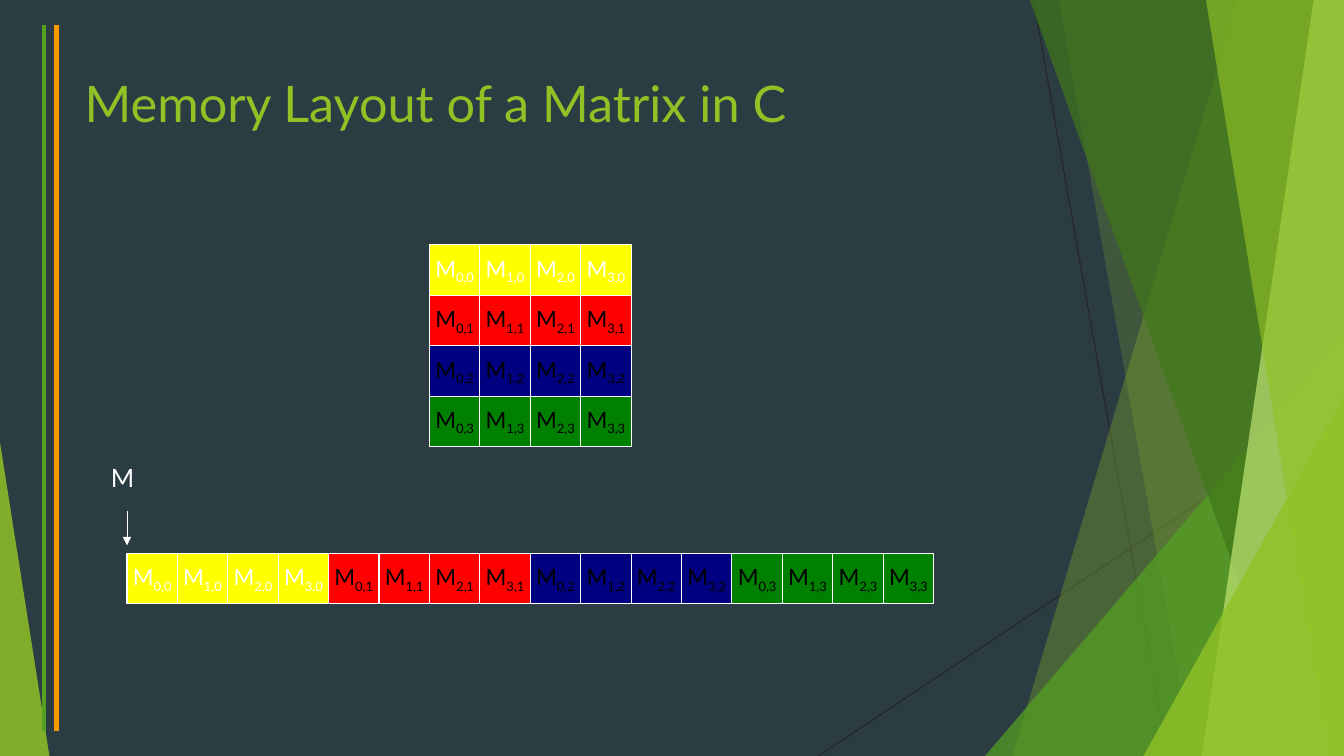
from lxml import etree
from pptx import Presentation
from pptx import util as u
from pptx.dml.color import RGBColor
from pptx.enum import shapes, text
from pptx.oxml import ns

PX = 9144
SLIDE_WIDTH, SLIDE_HEIGHT = 1333, 750
CELL = 50
FONT = "Lato"

SLATE = RGBColor(0x2C, 0x3C, 0x43)
CHARCOAL = RGBColor(0x26, 0x26, 0x26)
LIME = RGBColor(0x90, 0xC2, 0x26)
LEAF = RGBColor(0x54, 0xA0, 0x21)
FOREST = RGBColor(0x3F, 0x78, 0x19)
PALE_LIME = RGBColor(0xC0, 0xE4, 0x74)
ORANGE = RGBColor(0xFF, 0x99, 0x00)
WHITE = RGBColor(0xFF, 0xFF, 0xFF)
BLACK = RGBColor(0x00, 0x00, 0x00)
YELLOW = RGBColor(0xFF, 0xFF, 0x00)
RED = RGBColor(0xFF, 0x00, 0x00)
NAVY = RGBColor(0x00, 0x00, 0x80)
GREEN = RGBColor(0x00, 0x80, 0x00)

ROW_COLOURS = [(YELLOW, WHITE), (RED, BLACK), (NAVY, BLACK), (GREEN, BLACK)]
COLUMNS = 4


def px(*lengths):
    return [u.Emu(length * PX) for length in lengths]


def write(paragraph, content, size, colour, subscript=False):
    run = paragraph.add_run()
    run.text = content
    run.font.name = FONT
    run.font.size = u.Pt(size)
    run.font.color.rgb = colour
    if subscript:
        run.font._element.set("baseline", "-25000")


def add_line(parts, start, end, colour, weight=0.75, arrow=False):
    line = parts.add_connector(shapes.MSO_CONNECTOR.STRAIGHT, *px(*start, *end))
    line.line.color.rgb = colour
    line.line.width = u.Pt(weight)
    if arrow:
        etree.SubElement(line.line._get_or_add_ln(), ns.qn("a:tailEnd"), type="triangle")
    etree.SubElement(line._element.spPr, ns.qn("a:effectLst"))


def paint_facet(shape, colour, opacity):
    shape.shadow.inherit = False
    shape.line.fill.background()
    shape.fill.solid()
    shape.fill.fore_color.rgb = colour
    colour_element = shape._element.spPr.find(ns.qn("a:solidFill"))[0]
    etree.SubElement(colour_element, ns.qn("a:alpha"), val=str(opacity * 1000))


def add_panel(parts, top_left, bottom_left, colour, opacity):
    builder = parts.build_freeform(top_left, -1, scale=PX)
    builder.add_line_segments(
        [(SLIDE_WIDTH, -1), (SLIDE_WIDTH, SLIDE_HEIGHT), (bottom_left, SLIDE_HEIGHT)]
    )
    paint_facet(builder.convert_to_shape(), colour, opacity)


def add_corner(parts, left, top, width, apex, colour, opacity):
    corner = parts.add_shape(
        shapes.MSO_SHAPE.ISOSCELES_TRIANGLE, *px(left, top, width, SLIDE_HEIGHT - top)
    )
    corner.adjustments[0] = apex
    paint_facet(corner, colour, opacity)


def add_facets(slide):
    parts = slide.shapes.add_group_shape().shapes
    add_line(parts, (1025, 0), (1158, SLIDE_HEIGHT), CHARCOAL)
    add_line(parts, (SLIDE_WIDTH, 403), (812, SLIDE_HEIGHT), CHARCOAL)
    add_panel(parts, 1228, 1004, LIME, 30)
    add_panel(parts, 1050, 1183, LIME, 20)
    add_corner(parts, 977, 333, 356, 1, LEAF, 72)
    add_panel(parts, 1021, 1291, FOREST, 70)
    add_panel(parts, 1303, 1192, PALE_LIME, 70)
    add_panel(parts, 1196, 1318, LIME, 65)
    add_corner(parts, 1134, 393, 199, 1, LIME, 80)
    add_corner(parts, 0, 439, 49, 0, LIME, 85)


def add_side_rules(slide, left, top, height):
    for offset, colour in ((0, LEAF), (12, ORANGE)):
        x = left + offset
        add_line(slide.shapes, (x, top), (x, top + height), colour, weight=3)


def add_title(slide, content, left, top, width, height):
    title = slide.shapes.title
    title.left, title.top, title.width, title.height = px(left, top, width, height)
    frame = title.text_frame
    frame.word_wrap = True
    frame.vertical_anchor = text.MSO_ANCHOR.TOP
    paragraph = frame.paragraphs[0]
    paragraph.alignment = text.PP_ALIGN.LEFT
    write(paragraph, content, 36, LIME)


def add_cell(parts, column, row, left, top):
    fill_colour, text_colour = ROW_COLOURS[row]
    cell = parts.add_shape(shapes.MSO_SHAPE.RECTANGLE, *px(left, top, CELL, CELL))
    cell.shadow.inherit = False
    cell.fill.solid()
    cell.fill.fore_color.rgb = fill_colour
    cell.line.color.rgb = WHITE
    cell.line.width = u.Pt(0.75)
    frame = cell.text_frame
    frame.word_wrap = False
    frame.vertical_anchor = text.MSO_ANCHOR.MIDDLE
    paragraph = frame.paragraphs[0]
    paragraph.alignment = text.PP_ALIGN.CENTER
    write(paragraph, "M", 16, text_colour)
    write(paragraph, f"{column},{row}", 16, text_colour, subscript=True)


def add_matrix(slide, left, top):
    parts = slide.shapes.add_group_shape().shapes
    for row in range(len(ROW_COLOURS)):
        for column in range(COLUMNS):
            add_cell(parts, column, row, left + column * CELL, top + row * CELL)


def add_memory_strip(slide, left, top):
    parts = slide.shapes.add_group_shape().shapes
    for index in range(len(ROW_COLOURS) * COLUMNS):
        row, column = divmod(index, COLUMNS)
        add_cell(parts, column, row, left + index * CELL, top)
    add_line(parts, (left, top - 42), (left, top - 8), WHITE, arrow=True)
    label = parts.add_textbox(*px(left - 26, top - 95, 38, 40))
    label.text_frame.word_wrap = False
    write(label.text_frame.paragraphs[0], "M", 18, WHITE)


def main():
    presentation = Presentation()
    presentation.slide_width, presentation.slide_height = px(SLIDE_WIDTH, SLIDE_HEIGHT)
    slide = presentation.slides.add_slide(presentation.slide_layouts[5])
    slide.background.fill.solid()
    slide.background.fill.fore_color.rgb = SLATE
    add_facets(slide)
    add_side_rules(slide, 44, 25, 700)
    add_title(slide, "Memory Layout of a Matrix in C", 74, 67, 940, 144)
    add_matrix(slide, 426, 243)
    add_memory_strip(slide, 126, 549)
    presentation.save("out.pptx")


if __name__ == "__main__":
    main()
